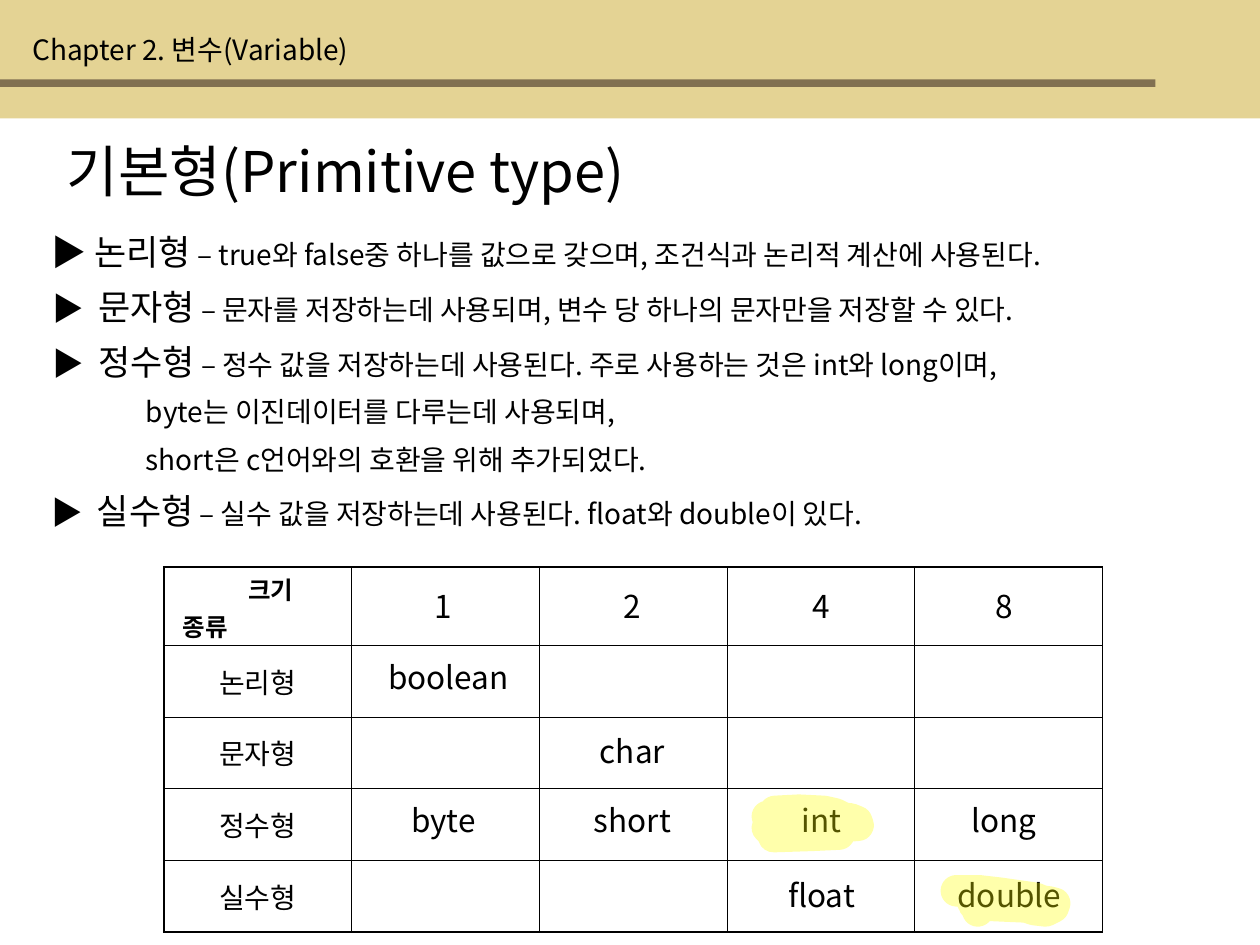
from dataclasses import dataclass

from lxml import etree
from pptx import Presentation
from pptx.dml.color import RGBColor
from pptx.enum.shapes import MSO_SHAPE
from pptx.enum.text import MSO_ANCHOR, MSO_AUTO_SIZE, PP_ALIGN
from pptx.oxml.ns import qn
from pptx.util import Inches, Pt

RECTANGLE = MSO_SHAPE.RECTANGLE
TOP, MIDDLE = MSO_ANCHOR.TOP, MSO_ANCHOR.MIDDLE
LEFT, CENTER = PP_ALIGN.LEFT, PP_ALIGN.CENTER
NO_AUTOFIT = MSO_AUTO_SIZE.NONE
FONT = "Noto Sans CJK KR"
COLORS = {"band": "E4D394", "rule": "817051", "text": "000000",
          "border": "000000", "marker": "FFFF00"}


@dataclass
class TypeNote:
    left: float
    top: float
    name: str
    description: str
    bullet_size: int = 18
    indent: float = 0.36


@dataclass
class SizeLabel:
    row: int
    column: int
    text: str
    shift: float = 0


TYPE_NOTES = [
    TypeNote(0.31, 1.78, "논리형", " – true와 false중 하나를 값으로 갖으며, 조건식과 논리적 계산에 사용된다.", 20, 0.34),
    TypeNote(0.32, 2.21, "문자형", " – 문자를 저장하는데 사용되며, 변수 당 하나의 문자만을 저장할 수 있다."),
    TypeNote(0.32, 2.65, "정수형", " – 정수 값을 저장하는데 사용된다. 주로 사용하는 것은 int와 long이며,"),
    TypeNote(0.31, 3.83, "실수형", " – 실수 값을 저장하는데 사용된다. float와 double이 있다."),
]
CONTINUATIONS = [(3.08, "byte는 이진데이터를 다루는데 사용되며,"),
                 (3.46, "short은 c언어와의 호환을 위해 추가되었다.")]
LABEL_LEFTS = [2.91, 4.41, 5.91, 7.36]
LABEL_TOPS = [4.61, 5.17, 5.76, 6.31, 6.9]
SIZE_LABELS = [
    SizeLabel(0, 0, "1"), SizeLabel(0, 1, "2"), SizeLabel(0, 2, "4"), SizeLabel(0, 3, "8"),
    SizeLabel(1, 0, "boolean", 0.04), SizeLabel(2, 1, "char"),
    SizeLabel(3, 0, "byte"), SizeLabel(3, 1, "short"),
    SizeLabel(3, 2, "int"), SizeLabel(3, 3, "long"),
    SizeLabel(4, 2, "float"), SizeLabel(4, 3, "double", 0.04),
]
# Stroke points in hundredths of an inch
INT_STROKE = [
    (609, 648), (615, 647), (621, 647), (655, 648), (675, 650), (680, 652),
    (681, 655), (669, 656), (655, 657), (636, 659), (623, 660), (629, 661),
    (658, 662), (666, 662), (645, 663), (614, 664), (613, 661), (609, 657),
    (620, 656), (637, 659), (648, 660), (664, 659), (673, 654), (673, 651),
    (663, 646), (654, 644), (634, 643), (615, 644),
]
DOUBLE_STROKE = [
    (776, 723), (775, 720), (772, 716), (795, 716), (820, 718), (829, 716),
    (822, 713), (794, 709), (777, 707), (759, 707), (771, 708), (795, 711),
    (813, 713), (833, 716), (837, 717), (836, 720), (830, 723), (821, 722),
    (812, 719), (787, 714), (777, 716), (773, 718), (817, 720), (830, 719),
]


def color(name: str) -> RGBColor:
    return RGBColor.from_string(COLORS[name])


def add_span(para, text: str, size: float, bold: bool = False) -> None:
    span = para.add_run()
    span.text = text
    span.font.size, span.font.bold, span.font.name = Pt(size), bold, FONT
    span.font.color.rgb = color("text")


def set_indent(para, margin: float, hanging: float = 0) -> None:
    properties = para._p.get_or_add_pPr()
    properties.set("marL", str(Inches(margin)))
    properties.set("indent", str(-Inches(hanging)))


def place(box, left: float, top: float, width: float, height: float):
    box.left, box.top = Inches(left), Inches(top)
    box.width, box.height = Inches(width), Inches(height)
    frame = box.text_frame
    frame.word_wrap, frame.auto_size = True, NO_AUTOFIT
    frame.vertical_anchor = MIDDLE
    frame.paragraphs[0].space_before = Pt(0)
    return frame.paragraphs[0]


def add_text(slide, left: float, top: float, width: float, height: float):
    return place(slide.shapes.add_textbox(0, 0, 0, 0), left, top, width, height)


def add_bar(slide, top: float, width: float, height: float, fill: str) -> None:
    bar = slide.shapes.add_shape(RECTANGLE, 0, Inches(top), Inches(width), Inches(height))
    bar.shadow.inherit = False
    bar.fill.solid()
    bar.fill.fore_color.rgb = color(fill)
    bar.line.fill.background()


def add_type_note(slide, note: TypeNote) -> None:
    para = add_text(slide, note.left, note.top, 9.29, 0.44)
    set_indent(para, note.indent, note.indent)
    add_span(para, "▶\t", note.bullet_size)
    add_span(para, note.name, 20)
    add_span(para, note.description, 16)


def set_borders(cell, widths: dict[str, float]) -> None:
    properties = cell._tc.get_or_add_tcPr()
    for side, width in widths.items():
        line = etree.SubElement(properties, qn(f"a:ln{side}"), w=str(Pt(width)))
        fill = etree.SubElement(line, qn("a:solidFill"))
        etree.SubElement(fill, qn("a:srgbClr"), val=COLORS["border"])


def add_type_table(slide) -> None:
    heights = [0.62] + [0.57] * 4
    column_count, thin, thick = 5, 0.45, 1.08
    table = slide.shapes.add_table(len(heights), column_count, Inches(1.3), Inches(4.5),
                                   Inches(7.44), Inches(sum(heights))).table
    table.first_row = table.horz_banding = False
    for column in table.columns:
        column.width = Inches(1.49)
    for r, height in enumerate(heights):
        table.rows[r].height = Inches(height)
        for c in range(column_count):
            cell = table.cell(r, c)
            set_borders(cell, {"L": thin if c else thick,
                               "R": thick if c == column_count - 1 else thin,
                               "T": thin if r else thick,
                               "B": thick if r == len(heights) - 1 else thin})
            cell.fill.background()

    # Corner heading, then one type name per row
    corner = table.cell(0, 0)
    corner.vertical_anchor, corner.margin_bottom = TOP, 0
    corner.margin_top = Inches(0.03)
    size_para = corner.text_frame.paragraphs[0]
    kind_para = corner.text_frame.add_paragraph()
    kind_para.space_before = Pt(1)
    for para, text, margin in ((size_para, "크기", 0.57), (kind_para, "종류", 0.05)):
        set_indent(para, margin)
        add_span(para, text, 14, bold=True)
    for r, note in enumerate(TYPE_NOTES, start=1):
        cell = table.cell(r, 0)
        cell.vertical_anchor = MIDDLE
        para = cell.text_frame.paragraphs[0]
        para.alignment = CENTER
        add_span(para, note.name, 16)


def add_marker_stroke(slide, points: list[tuple[int, int]]) -> None:
    builder = slide.shapes.build_freeform(*points[0], scale=Inches(0.01))
    builder.add_line_segments(points[1:], close=False)
    stroke = builder.convert_to_shape()
    stroke.shadow.inherit = False
    stroke.fill.background()
    stroke.line.width = Pt(18)
    stroke.line.color.rgb = color("marker")
    line = stroke.line._ln
    line.set("cap", "rnd")
    etree.SubElement(line.find(".//" + qn("a:srgbClr")), qn("a:alpha"), val="33000")
    etree.SubElement(line, qn("a:round"))


def main() -> None:
    deck = Presentation()
    deck.slide_width, deck.slide_height = Inches(10), Inches(7.5)
    slide = deck.slides.add_slide(deck.slide_layouts[5])

    # Header band and titles
    add_bar(slide, 0, 10, 0.94, "band")
    add_bar(slide, 0.63, 9.17, 0.06, "rule")
    add_span(add_text(slide, 0.16, 0.21, 3.97, 0.37), "Chapter 2. 변수(Variable)", 16)
    title = place(slide.shapes.title, 0.43, 1.03, 5.12, 0.64)
    title.alignment = LEFT
    add_span(title, "기본형(Primitive type)", 32)

    # Descriptions of the types
    for note in TYPE_NOTES:
        add_type_note(slide, note)
    for top, text in CONTINUATIONS:
        para = add_text(slide, 0.31, top, 9.29, 0.37)
        set_indent(para, 0.75)
        add_span(para, text, 16)

    # Table of types by size
    add_type_table(slide)
    for label in SIZE_LABELS:
        left = LABEL_LEFTS[label.column] + label.shift
        para = add_text(slide, left, LABEL_TOPS[label.row], 1.22, 0.4)
        para.alignment = CENTER
        add_span(para, label.text, 18)

    # Highlighter strokes
    for points in (INT_STROKE, DOUBLE_STROKE):
        add_marker_stroke(slide, points)

    deck.save("out.pptx")


if __name__ == "__main__":
    main()
